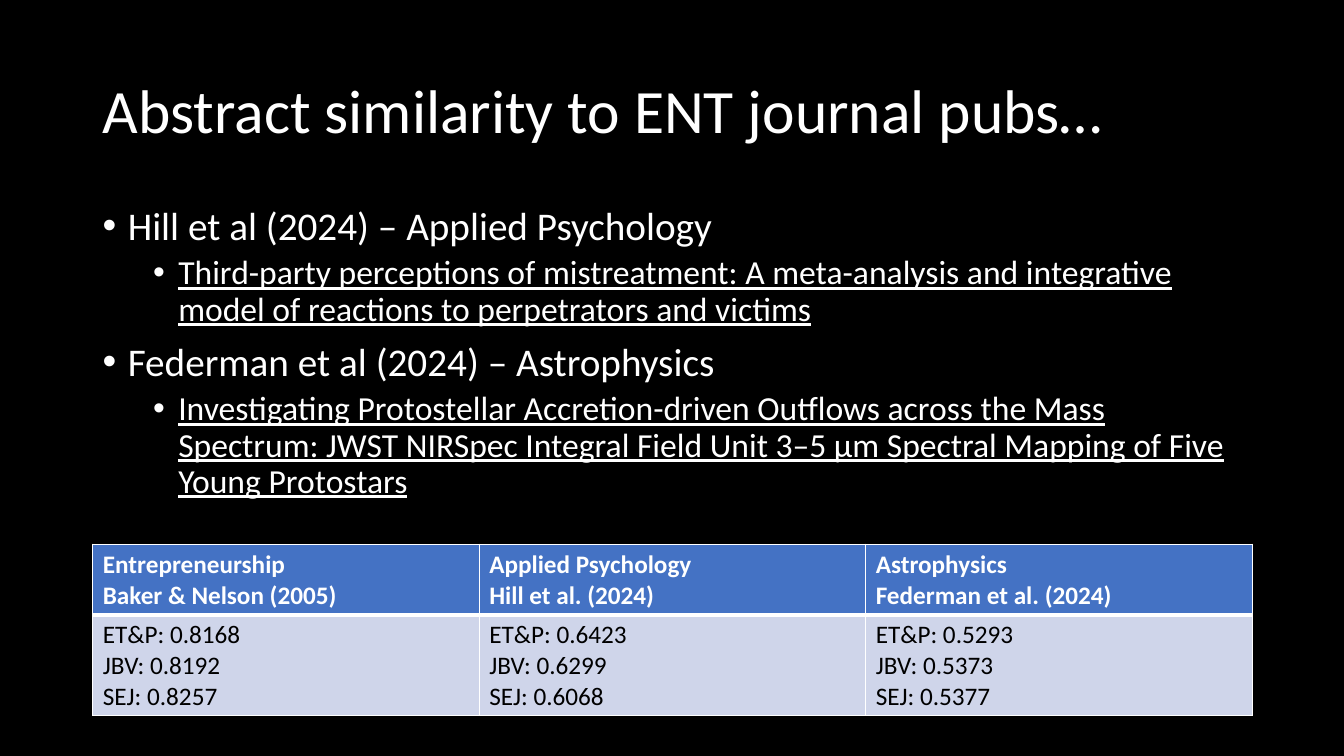
from lxml.etree import SubElement
from pptx import Presentation
from pptx.dml.color import RGBColor
from pptx.enum.text import MSO_ANCHOR as Anchor
from pptx.oxml.ns import qn
from pptx.util import Inches, Pt

# Content
TITLE = "Abstract similarity to ENT journal pubs…"
PAPERS = [
    ("Hill et al (2024) – Applied Psychology",
     "Third-party perceptions of mistreatment: A meta-analysis and integrative "
     "model of reactions to perpetrators and victims"),
    ("Federman et al (2024) – Astrophysics",
     "Investigating Protostellar Accretion-driven Outflows across the Mass "
     "Spectrum: JWST NIRSpec Integral Field Unit 3–5 μm Spectral Mapping of "
     "Five Young Protostars"),
]
JOURNALS = ["ET&P", "JBV", "SEJ"]
SIMILARITIES = [
    ("Entrepreneurship", "Baker & Nelson (2005)", ["0.8168", "0.8192", "0.8257"]),
    ("Applied Psychology", "Hill et al. (2024)", ["0.6423", "0.6299", "0.6068"]),
    ("Astrophysics", "Federman et al. (2024)", ["0.5293", "0.5373", "0.5377"]),
]

# Formats
COLORS = {"background": "000000", "light": "FFFFFF", "dark": "000000",
          "header": "4472C4", "scores": "CFD5EA"}
FONT = "Calibri"
LEFT, WIDTH = 0.92, 11.5
HEADER_HEIGHT, SCORES_HEIGHT = 0.7, 1.0
TITLE_FONT = {"size": Pt(44)}
LEVELS = [
    {"font": {"size": Pt(28)}, "before": 10, "indent": 0.25},
    {"font": {"size": Pt(24), "underline": True}, "before": 5, "indent": 0.75},
]
ROWS = [
    {"fill": "header", "color": "light", "font": {"size": Pt(18), "bold": True},
     "borders": {"L": 1, "R": 1, "T": 1, "B": 3}},
    {"fill": "scores", "color": "dark", "font": {"size": Pt(18), "bold": False},
     "borders": {"L": 1, "R": 1, "T": 3, "B": 1}},
]


def rgb(name):
    return RGBColor.from_string(COLORS[name])


def write(paragraph, text, font, color="light"):
    run = paragraph.add_run()
    run.text = text
    for key, value in {"name": FONT, **font}.items():
        setattr(run.font, key, value)
    run.font.color.rgb = rgb(color)


def paragraphs(frame, count):
    return [frame.paragraphs[0]] + [frame.add_paragraph() for _ in range(count - 1)]


def add_text_frame(slide, top, height, anchor):
    box = slide.shapes.add_textbox(*map(Inches, (LEFT, top, WIDTH, height)))
    frame = box.text_frame
    frame.word_wrap = True
    frame.vertical_anchor = anchor
    return frame


def add_bullet(paragraph, indent):
    props = paragraph._p.get_or_add_pPr()
    props.set("marL", str(Inches(indent)))
    props.set("indent", str(-Inches(0.25)))
    SubElement(props, qn("a:buFont"), typeface="Arial")
    SubElement(props, qn("a:buChar"), char="•")


def add_borders(cell, widths):
    props = cell._tc.get_or_add_tcPr()
    for side, width in widths.items():
        line = SubElement(props, qn(f"a:ln{side}"), w=str(Pt(width)))
        fill = SubElement(line, qn("a:solidFill"))
        SubElement(fill, qn("a:srgbClr"), val=COLORS["light"])


def add_papers(slide):
    frame = add_text_frame(slide, 2, 4.76, Anchor.TOP)
    lines = [(level, text) for paper in PAPERS for level, text in enumerate(paper)]
    for paragraph, (level, text) in zip(paragraphs(frame, len(lines)), lines):
        style = LEVELS[level]
        paragraph.level = level
        paragraph.line_spacing = 0.9
        paragraph.space_before = Pt(style["before"])
        add_bullet(paragraph, style["indent"])
        write(paragraph, text, style["font"])


def add_similarities(slide):
    place = (LEFT, 5.4, WIDTH, HEADER_HEIGHT + SCORES_HEIGHT)
    table = slide.shapes.add_table(2, len(SIMILARITIES), *map(Inches, place)).table
    for row, height in zip(table.rows, (HEADER_HEIGHT, SCORES_HEIGHT)):
        row.height = Inches(height)
    for column, (field, study, scores) in enumerate(SIMILARITIES):
        score_lines = [f"{name}: {score}" for name, score in zip(JOURNALS, scores)]
        for row, lines in enumerate([[field, study], score_lines]):
            cell, style = table.cell(row, column), ROWS[row]
            add_borders(cell, style["borders"])
            cell.fill.solid()
            cell.fill.fore_color.rgb = rgb(style["fill"])
            for paragraph, line in zip(paragraphs(cell.text_frame, len(lines)), lines):
                write(paragraph, line, style["font"], style["color"])


def main():
    deck = Presentation()
    deck.slide_width, deck.slide_height = Inches(13.33), Inches(7.5)
    slide = deck.slides.add_slide(deck.slide_layouts[6])
    slide.background.fill.solid()
    slide.background.fill.fore_color.rgb = rgb("background")

    # Title
    heading = add_text_frame(slide, 0.4, 1.45, Anchor.MIDDLE).paragraphs[0]
    heading.line_spacing = 0.9
    write(heading, TITLE, TITLE_FONT)

    # Bulleted papers and similarity table
    add_papers(slide)
    add_similarities(slide)
    deck.save("out.pptx")


if __name__ == "__main__":
    main()
